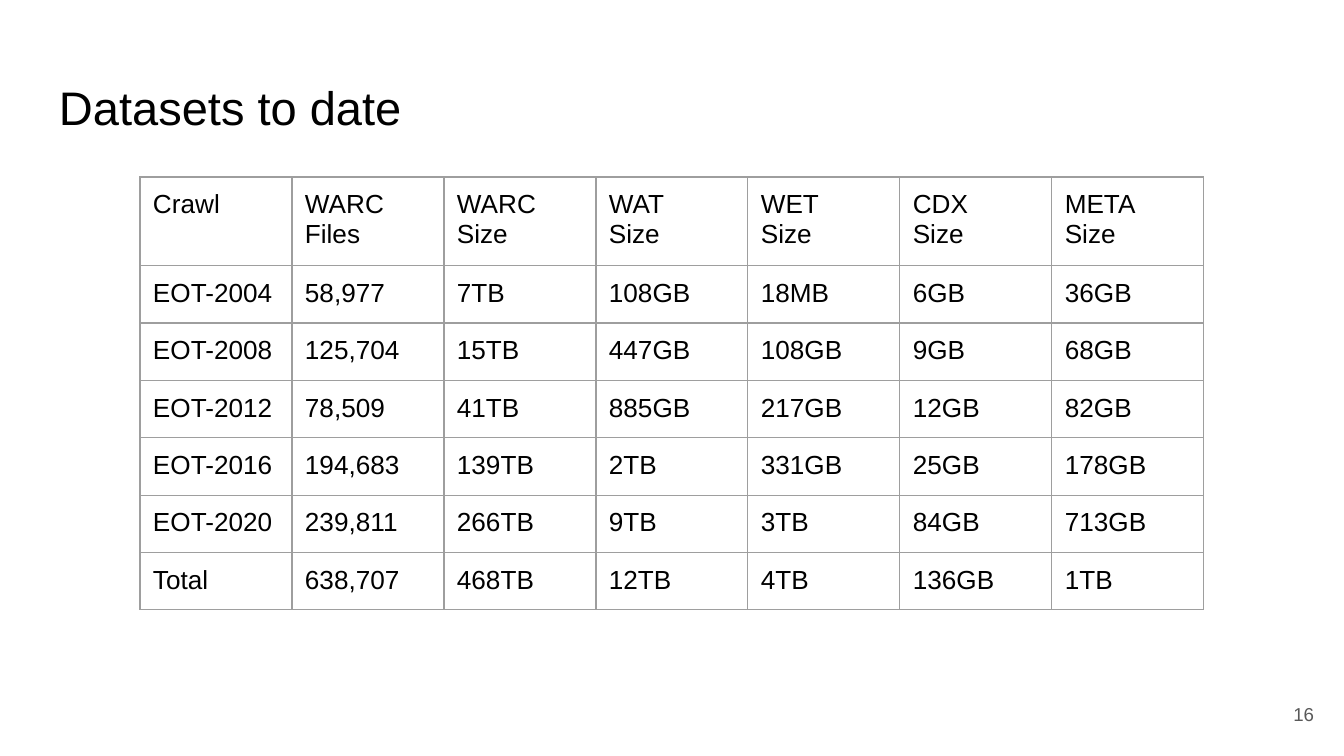
import dataclasses

import lxml.etree
import pptx
import pptx.dml.color
import pptx.enum.text
import pptx.oxml.ns
import pptx.util

EMU_PER_PX = 914400 / 134.4
FONT = "Arial"
COLORS = {"background": "FFFFFF", "text": "000000", "number": "595959", "border": "9E9E9E"}
INSET = 13
TABLE_LEFT, TABLE_TOP = 140, 177
COLUMN_WIDTH, HEADER_HEIGHT, ROW_HEIGHT = 152, 86, 56
CELL_SIZE = 14
BORDER_WIDTH = 0.75

ROWS = [
    ["Crawl", "WARC\nFiles", "WARC\nSize", "WAT\nSize", "WET\nSize", "CDX\nSize", "META\nSize"],
    ["EOT-2004", "58,977", "7TB", "108GB", "18MB", "6GB", "36GB"],
    ["EOT-2008", "125,704", "15TB", "447GB", "108GB", "9GB", "68GB"],
    ["EOT-2012", "78,509", "41TB", "885GB", "217GB", "12GB", "82GB"],
    ["EOT-2016", "194,683", "139TB", "2TB", "331GB", "25GB", "178GB"],
    ["EOT-2020", "239,811", "266TB", "9TB", "3TB", "84GB", "713GB"],
    ["Total", "638,707", "468TB", "12TB", "4TB", "136GB", "1TB"],
]


@dataclasses.dataclass(frozen=True)
class Label:
    text: str
    left: int
    top: int
    width: int
    height: int
    size: float
    color: str
    align: pptx.enum.text.PP_ALIGN = pptx.enum.text.PP_ALIGN.LEFT
    anchor: pptx.enum.text.MSO_ANCHOR = pptx.enum.text.MSO_ANCHOR.TOP


LABELS = [
    Label("Datasets to date", 46, 66, 1252, 85, 25.2, "text"),
    Label("16", 1246, 685, 81, 58, 10, "number",
          pptx.enum.text.PP_ALIGN.RIGHT, pptx.enum.text.MSO_ANCHOR.MIDDLE),
]


def px(length: int) -> pptx.util.Emu:
    return pptx.util.Emu(round(length * EMU_PER_PX))


def rgb(name: str) -> pptx.dml.color.RGBColor:
    return pptx.dml.color.RGBColor.from_string(COLORS[name])


def set_margins(target) -> None:
    """Give a text frame or a table cell the same inset on all sides."""
    for side in ("left", "top", "right", "bottom"):
        setattr(target, f"margin_{side}", px(INSET))


def write_text(frame, text: str, size: float, color: str,
               align: pptx.enum.text.PP_ALIGN = pptx.enum.text.PP_ALIGN.LEFT) -> None:
    """Write each line of the text as a paragraph of one run."""
    for index, line in enumerate(text.split("\n")):
        paragraph = frame.add_paragraph() if index else frame.paragraphs[0]
        paragraph.alignment = align
        run = paragraph.add_run()
        run.text = line
        run.font.name = FONT
        run.font.size = pptx.util.Pt(size)
        run.font.color.rgb = rgb(color)


def add_label(slide, label: Label) -> None:
    shape = slide.shapes.add_textbox(
        px(label.left), px(label.top), px(label.width), px(label.height))
    frame = shape.text_frame
    frame.word_wrap = True
    frame.vertical_anchor = label.anchor
    set_margins(frame)
    write_text(frame, label.text, label.size, label.color, label.align)


def add_borders(cell) -> None:
    properties = cell._tc.get_or_add_tcPr()
    qn = pptx.oxml.ns.qn
    for index, side in enumerate(("lnL", "lnR", "lnT", "lnB")):
        line = lxml.etree.Element(qn(f"a:{side}"), w=str(pptx.util.Pt(BORDER_WIDTH)))
        fill = lxml.etree.SubElement(line, qn("a:solidFill"))
        lxml.etree.SubElement(fill, qn("a:srgbClr"), val=COLORS["border"])
        properties.insert(index, line)


def add_dataset_table(slide, rows: list[list[str]]) -> None:
    column_count = len(rows[0])
    heights = [HEADER_HEIGHT] + [ROW_HEIGHT] * (len(rows) - 1)
    shape = slide.shapes.add_table(
        len(rows), column_count, px(TABLE_LEFT), px(TABLE_TOP),
        px(COLUMN_WIDTH * column_count), px(sum(heights)))
    table = shape.table
    table.first_row = False
    table.horz_banding = False
    for column in table.columns:
        column.width = px(COLUMN_WIDTH)
    for row, height, texts in zip(table.rows, heights, rows):
        row.height = px(height)
        for cell, text in zip(row.cells, texts):
            set_margins(cell)
            cell.fill.background()
            add_borders(cell)
            write_text(cell.text_frame, text, CELL_SIZE, "text")


def main() -> None:
    presentation = pptx.Presentation()
    presentation.slide_width, presentation.slide_height = px(1344), px(756)
    slide = presentation.slides.add_slide(presentation.slide_layouts[6])
    slide.background.fill.solid()
    slide.background.fill.fore_color.rgb = rgb("background")
    for label in LABELS:
        add_label(slide, label)
    add_dataset_table(slide, ROWS)
    presentation.save("out.pptx")


if __name__ == "__main__":
    main()
